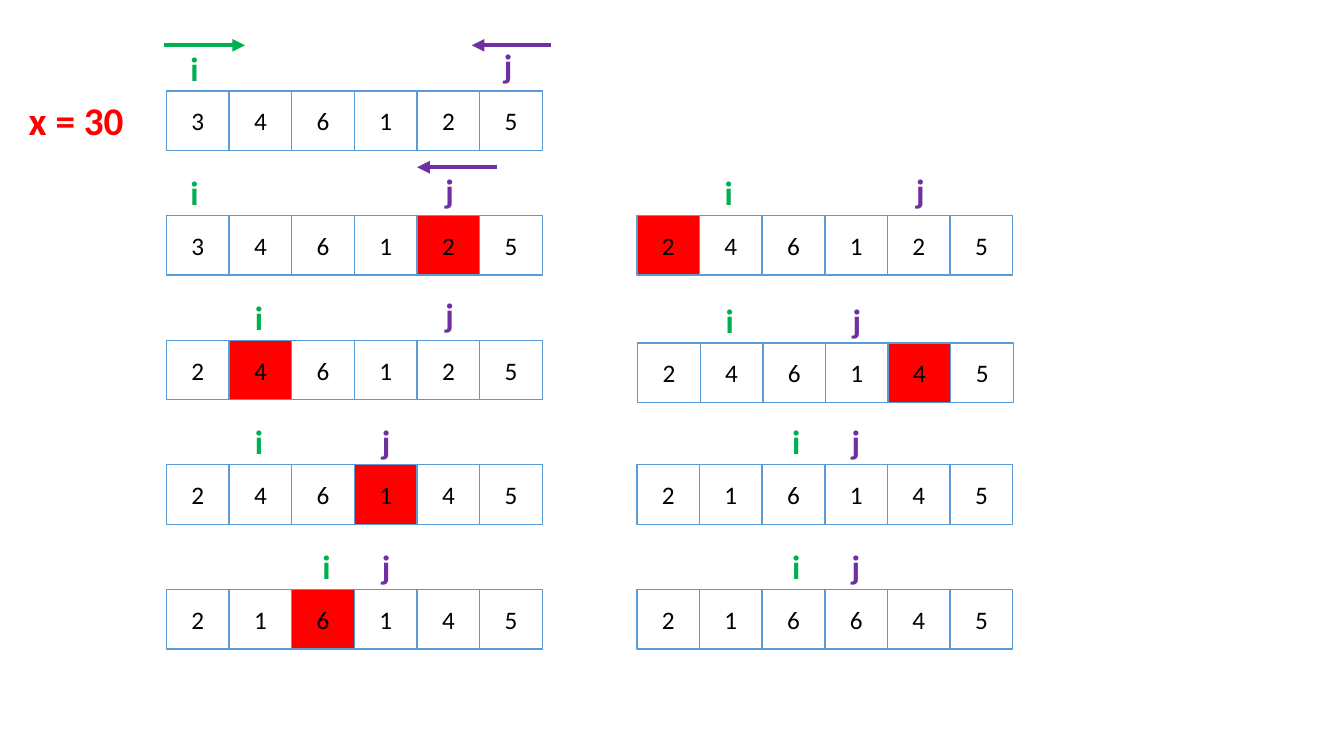
from lxml.etree import SubElement
from pptx import Presentation
from pptx.dml.color import RGBColor as RGB
from pptx.enum.shapes import MSO_CONNECTOR as LINK, MSO_SHAPE as SHAPE
from pptx.enum.text import MSO_ANCHOR as ANCHOR, MSO_AUTO_SIZE as AUTO, PP_ALIGN as ALIGN
from pptx.oxml.ns import qn
from pptx.util import Pt

WHITE = RGB(0xFF, 0xFF, 0xFF)
BLACK = RGB(0x00, 0x00, 0x00)
RED = RGB(0xFF, 0x00, 0x00)
BLUE = RGB(0x5B, 0x9B, 0xD5)
GREEN = RGB(0x00, 0xB0, 0x50)
PURPLE = RGB(0x70, 0x30, 0xA0)

LEFT, RIGHT = 118.9, 454.9
TOP, STEP = 65, 89
WIDE, HIGH = 44.75, 42.5
RISE, LIFT = 34.6, 36.4

# digits
STATES = [
    (LEFT, TOP, "346125", None, 128.9, 352.8, LIFT),
    (LEFT, TOP + STEP, "346125", 4, 128.9, 311, LIFT),
    (LEFT, TOP + 2 * STEP, "246125", 1, 175, 311, LIFT),
    (LEFT, TOP + 3 * STEP, "246145", 3, 175, 265.7, RISE),
    (LEFT, TOP + 4 * STEP, "216145", 2, 223.2, 265.7, RISE),
    (RIGHT, TOP + STEP, "246125", 0, 510.5, 647.3, LIFT),
    (RIGHT + 0.5, TOP + 2 * STEP + 2, "246145", 4, 511.2, 601.9, RISE),
    (RIGHT, TOP + 3 * STEP, "216145", None, 558.7, 601.2, RISE),
    (RIGHT, TOP + 4 * STEP, "216645", None, 558.7, 601.2, RISE),
]
ARROWS = [
    (117.4, 175, 32.4, GREEN),
    (393.8, 337, 32.4, PURPLE),
    (355, 298, 119.5, PURPLE),
]


def style(para, size, color, bold=False):
    font = para.font
    font.name, font.size, font.bold = "Calibri", Pt(size), bold
    font.color.rgb = color


def add_cell(group, x, y, digit, fill):
    cell = group.shapes.add_shape(SHAPE.RECTANGLE, Pt(x), Pt(y), Pt(WIDE), Pt(HIGH))
    cell.shadow.inherit = False
    cell.fill.solid()
    cell.fill.fore_color.rgb = fill
    cell.line.color.rgb = BLUE
    cell.line.width = Pt(1)
    frame = cell.text_frame
    frame.vertical_anchor = ANCHOR.MIDDLE
    frame.text = digit
    para = frame.paragraphs[0]
    para.alignment = ALIGN.CENTER
    style(para, 18, BLACK)


def add_row(slide, x, y, digits, hot):
    group = slide.shapes.add_group_shape()
    for col, digit in enumerate(digits):
        add_cell(group, x + col * WIDE, y, digit, RED if col == hot else WHITE)


def add_label(slide, x, y, wide, high, text, size, color, wrap=True):
    frame = slide.shapes.add_textbox(Pt(x), Pt(y), Pt(wide), Pt(high)).text_frame
    frame.word_wrap = wrap
    frame.auto_size = AUTO.SHAPE_TO_FIT_TEXT
    frame.text = text
    style(frame.paragraphs[0], size, color, True)


def add_mark(slide, x, y, text, color):
    add_label(slide, x, y, 25.2, 36.4, text, 24, color)


def add_arrow(slide, start, end, y, color):
    arrow = slide.shapes.add_connector(LINK.STRAIGHT, Pt(start), Pt(y), Pt(end), Pt(y))
    arrow.line.color.rgb = color
    arrow.line.width = Pt(3)
    SubElement(arrow.line._get_or_add_ln(), qn("a:tailEnd"), type="triangle")
    SubElement(arrow._element.spPr, qn("a:effectLst"))


def main():
    deck = Presentation()
    deck.slide_width, deck.slide_height = Pt(960), Pt(540)
    slide = deck.slides.add_slide(deck.slide_layouts[6])
    add_label(slide, 13.4, 65, 83.5, 41.2, "x = 30", 28, RED, False)
    for x, y, digits, hot, left, right, lift in STATES:
        add_row(slide, x, y, digits, hot)
        add_mark(slide, left, y - RISE, "i", GREEN)
        add_mark(slide, right, y - lift, "j", PURPLE)
    for start, end, y, color in ARROWS:
        add_arrow(slide, start, end, y, color)
    deck.save("out.pptx")


if __name__ == "__main__":
    main()
